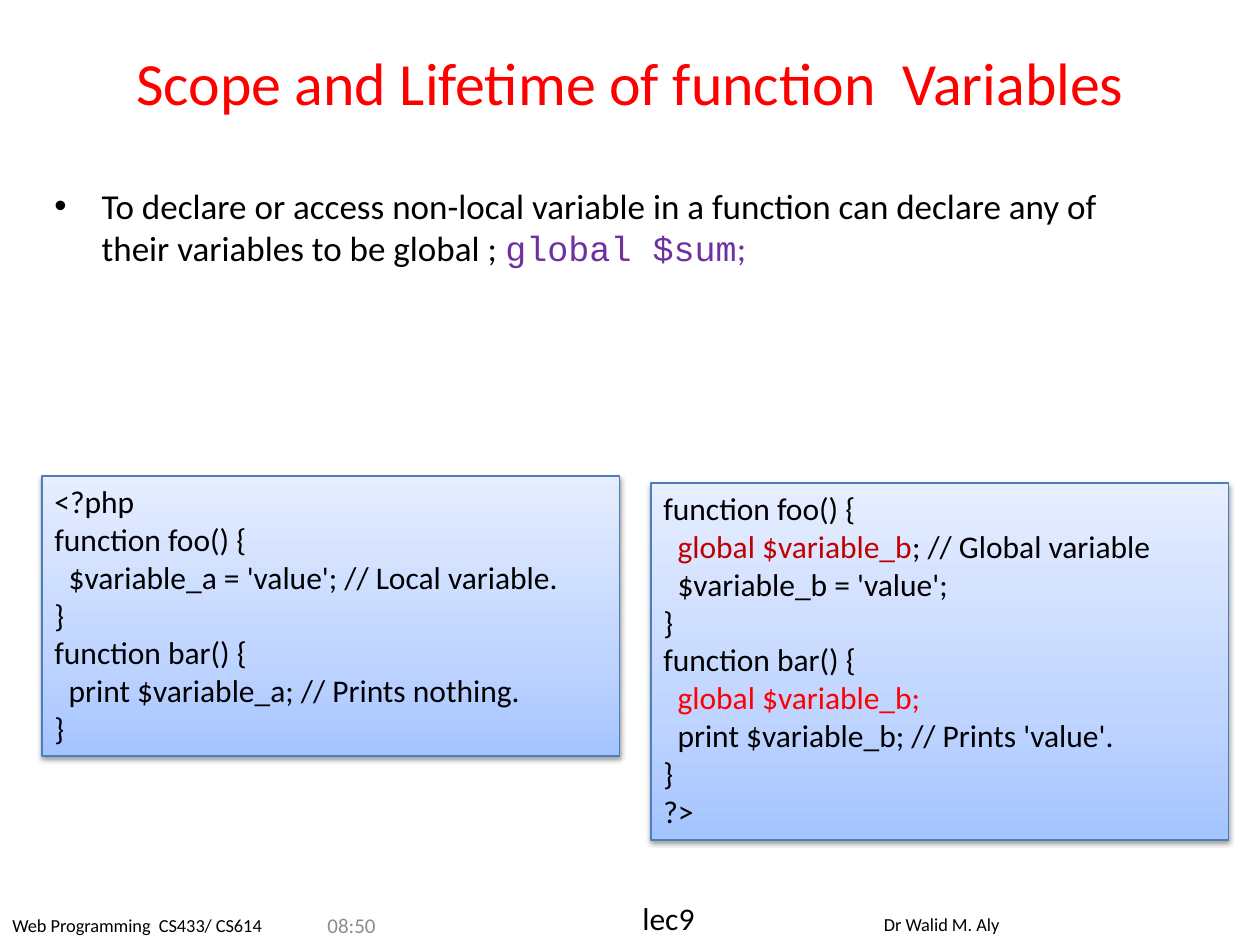
from dataclasses import dataclass

from lxml import etree
from pptx import Presentation
from pptx.dml.color import RGBColor
from pptx.enum import shapes, text
from pptx.oxml import ns, parse_xml
from pptx.util import Pt


@dataclass(frozen=True)
class Theme:
    sans: str = "Calibri"
    mono: str = "Courier New"
    ink: str = "000000"
    red: str = "FF0000"
    dark: str = "C00000"
    violet: str = "7030A0"
    grey: str = "8C8C8C"
    edge: str = "4B7EBC"
    fade: tuple = ((0, "A4C4FF"), (35, "BFD4FF"), (100, "E6EEFF"))
    title: float = 34.2
    body: float = 20
    code: float = 18
    note: float = 12
    small: float = 10.5


T = Theme()

LOCAL = [("""<?php
function foo() {
  $variable_a = 'value'; // Local variable.
}
function bar() {
  print $variable_a; // Prints nothing.
}""", T.ink)]

GLOBAL = [
    ("function foo() {\n  ", T.ink),
    ("global $variable_b", T.dark),
    ("""; // Global variable
  $variable_b = 'value';
}
function bar() {
  """, T.ink),
    ("global $variable_b;\n", T.red),
    ("""  print $variable_b; // Prints 'value'.
}
?>""", T.ink),
]


def style(run, size, color=T.ink, face=T.sans):
    run.font.size = Pt(size)
    run.font.name = face
    run.font.color.rgb = RGBColor.from_string(color)


def write(para, words, size, color=T.ink, face=T.sans):
    """Append styled words, turning each newline into a line break."""
    for i, line in enumerate(words.split("\n")):
        if i:
            para.add_line_break()
        if line:
            run = para.add_run()
            run.text = line
            style(run, size, color, face)


def add_box(slide, box):
    frame = slide.shapes.add_textbox(*map(Pt, box)).text_frame
    frame.word_wrap = True
    return frame


def add_title(slide, box, words):
    title = slide.shapes.title
    title.left, title.top, title.width, title.height = map(Pt, box)
    frame = title.text_frame
    frame.text = words
    frame.vertical_anchor = text.MSO_ANCHOR.MIDDLE
    para = frame.paragraphs[0]
    para.alignment = text.PP_ALIGN.CENTER
    style(para.runs[0], T.title, T.red)


def add_bullet(slide, box, parts):
    para = add_box(slide, box).paragraphs[0]
    for words, color, face in parts:
        write(para, words, T.body, color, face)
    props = para._p.get_or_add_pPr()
    props.set("marL", str(Pt(27)))
    props.set("indent", str(-Pt(27)))
    etree.SubElement(props, ns.qn("a:buFont")).set("typeface", "Arial")
    etree.SubElement(props, ns.qn("a:buChar")).set("char", "•")


def add_code(slide, box, parts):
    panel = slide.shapes.add_shape(shapes.MSO_SHAPE.RECTANGLE, *map(Pt, box))
    panel.line.color.rgb = RGBColor.from_string(T.edge)
    panel.line.width = Pt(0.75)
    shade(panel)
    frame = panel.text_frame
    frame.word_wrap = True
    frame.vertical_anchor = text.MSO_ANCHOR.TOP
    para = frame.paragraphs[0]
    para.alignment = text.PP_ALIGN.LEFT
    for words, color in parts:
        write(para, words, T.code, color)


def shade(panel):
    """Give the panel its three-stop gradient and soft drop shadow."""
    space = ns.nsdecls("a")
    stops = "".join(
        f'<a:gs pos="{pos * 1000}"><a:srgbClr val="{color}"/></a:gs>'
        for pos, color in T.fade)
    panel.fill.gradient()
    props = panel._element.spPr
    props.replace(props.find(ns.qn("a:gradFill")), parse_xml(
        f'<a:gradFill {space} rotWithShape="1"><a:gsLst>{stops}</a:gsLst>'
        '<a:lin ang="16200000" scaled="0"/></a:gradFill>'))
    panel.shadow.inherit = False
    props.find(ns.qn("a:effectLst")).append(parse_xml(
        f'<a:outerShdw {space} blurRad="{Pt(3.1)}" dist="{Pt(1.6)}" '
        f'dir="5400000" rotWithShape="0"><a:srgbClr val="{T.ink}">'
        '<a:alpha val="38000"/></a:srgbClr></a:outerShdw>'))


def add_footer(slide, box):
    left, top, _, _ = box
    items = [
        ((0, 1, 282, 35), "Web Programming  CS433/ CS614", T.small, T.ink),
        ((498, 0, 120, 21), "Dr Walid M. Aly", T.small, T.ink),
        ((360, -8, 54, 30), "lec9", T.code, T.ink),
        ((180, 1, 48, 19), "08:50", T.note, T.grey),
    ]
    for (x, y, wide, high), words, size, color in items:
        frame = add_box(slide, (left + x, top + y, wide, high))
        frame.vertical_anchor = (text.MSO_ANCHOR.MIDDLE if color == T.grey
                                 else text.MSO_ANCHOR.TOP)
        write(frame.paragraphs[0], words, size, color)


def main():
    deck = Presentation()
    deck.slide_width, deck.slide_height = Pt(720), Pt(540)
    slide = deck.slides.add_slide(deck.slide_layouts[5])
    add_footer(slide, (0, 518, 720, 22))
    add_title(slide, (36, 21.6, 648, 50.4),
              "Scope and Lifetime of function  Variables")
    add_bullet(slide, (24, 102, 618, 114), [
        ("To declare or access non-local variable in a function can declare "
         "any of their variables to be global ; ", T.ink, T.sans),
        ("global $sum", T.violet, T.mono),
        (";", T.violet, T.sans),
    ])
    add_code(slide, (24, 272, 330, 160), LOCAL)
    add_code(slide, (372, 276, 330, 204), GLOBAL)
    deck.save("out.pptx")


if __name__ == "__main__":
    main()
